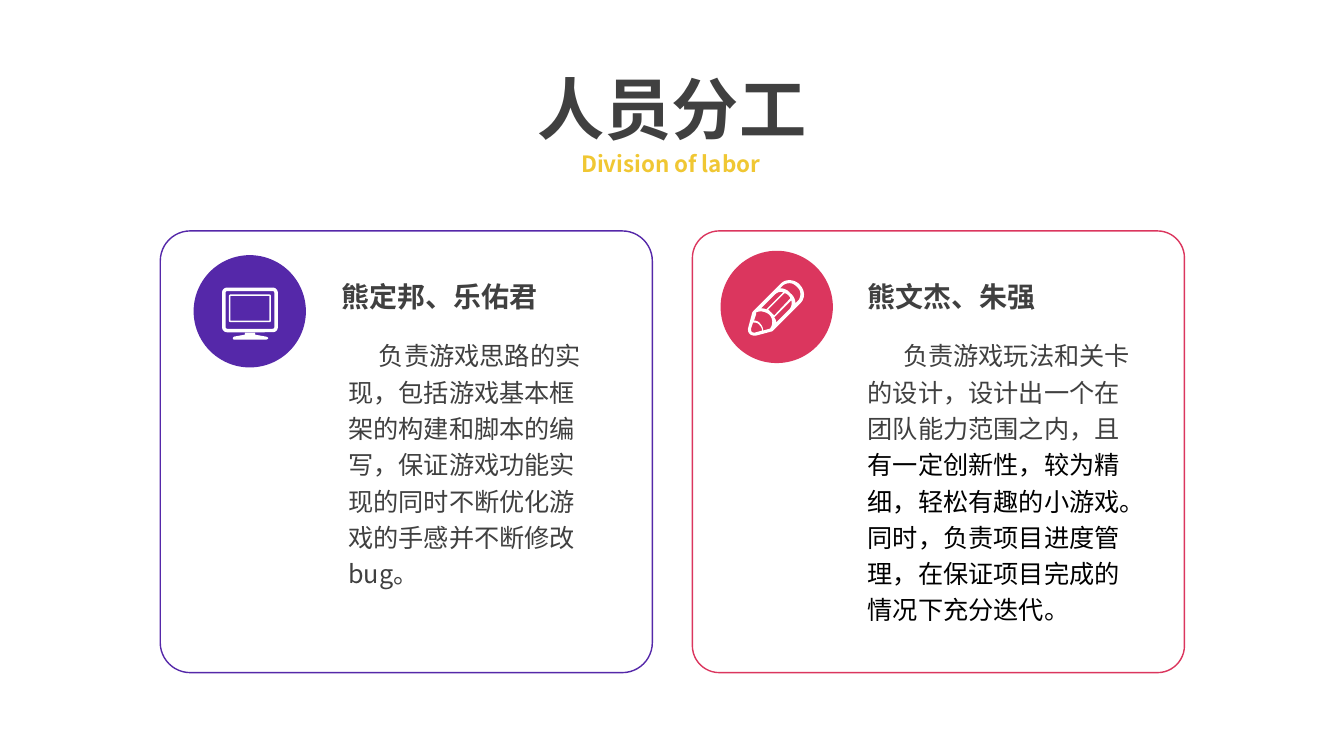
from lxml import etree
from pptx import Presentation
from pptx.dml.color import RGBColor
from pptx.enum.shapes import MSO_SHAPE as Preset
from pptx.enum.text import PP_ALIGN as Align
from pptx.oxml.ns import qn
from pptx.util import Cm, Pt

WHITE = RGBColor(0xFF, 0xFF, 0xFF)
BLACK = RGBColor(0x00, 0x00, 0x00)
GREY = RGBColor(0x40, 0x40, 0x40)
PURPLE = RGBColor(0x55, 0x28, 0xA9)
PINK = RGBColor(0xDB, 0x36, 0x5E)
YELLOW = RGBColor(0xF0, 0xC7, 0x33)

SANS = "Noto Sans CJK SC"
HEADING = "Noto Sans CJK JP"

ICON_UNIT = Cm(0.0254)
CURVE_STEPS = 6

# Contours of the icons: pairs are corners, sixes are Bezier curves.
STAND = [[(23, 45), (23, 47), (12, 49), (11, 50), (11, 51), (12, 52),
          (44, 52), (46, 51), (46, 50), (44, 49), (33, 47), (33, 45)]]
PENCIL = [
    # body
    [(51, 4), (48, 1, 44, 0, 41, 0), (38, 0, 35, 1, 33, 3), (6, 30),
     (5, 31, 4, 32, 4, 33), (0, 48), (0, 49), (0, 53, 3, 55, 6, 55), (8, 55),
     (23, 51), (24, 51, 25, 50, 26, 49), (52, 23), (57, 18, 57, 10, 51, 4)],
    # eraser
    [(50, 20), (47, 23), (47, 22), (47, 19, 45, 15, 42, 13),
     (40, 10, 36, 8, 32, 8), (35, 5), (36, 4, 39, 3, 41, 3),
     (44, 3, 46, 4, 49, 7), (51, 9, 52, 11, 52, 14), (52, 16, 51, 19, 50, 20)],
    # sharpened wood
    [(15, 50), (15, 47, 14, 45, 12, 43), (11, 41, 8, 40, 6, 40), (8, 34),
     (8, 32), (12, 30, 17, 31, 21, 34), (25, 38, 25, 44, 22, 48)],
    # lead
    [(7, 52), (6, 52), (4, 52, 3, 51, 3, 49), (3, 48), (5, 42),
     (7, 42, 9, 42, 11, 44), (13, 46, 14, 48, 14, 50)],
    # three facets
    [(18, 29), (16, 28, 15, 28, 13, 28), (27, 14), (29, 12, 32, 11, 35, 12)],
    [(26, 35), (25, 34, 24, 33, 23, 32), (22, 31, 21, 30, 20, 29), (36, 13),
     (38, 13, 39, 14, 40, 15), (41, 16, 42, 17, 42, 18)],
    [(28, 41), (28, 40, 27, 38, 26, 37), (43, 20), (44, 23, 43, 27, 41, 29),
     (28, 42)],
]


def paint(shape, fill=None, line=None, weight=1, alpha=None):
    """Set fill (alpha in percent) and line; None means no fill or line."""
    shape.shadow.inherit = False
    if fill is None:
        shape.fill.background()
    else:
        shape.fill.solid()
        shape.fill.fore_color.rgb = fill
    if alpha is not None:
        color = shape.fill._xPr.find(".//" + qn("a:srgbClr"))
        etree.SubElement(color, qn("a:alpha"), val=str(alpha * 1000))
    if line is None:
        shape.line.fill.background()
    else:
        shape.line.color.rgb = line
        shape.line.width = Pt(weight)


def add_preset(page, preset, left, top, width, height, radius=None, **look):
    shape = page.shapes.add_shape(preset, Cm(left), Cm(top), Cm(width), Cm(height))
    if radius is not None:
        shape.adjustments[0] = radius
    paint(shape, **look)


def flatten(contour):
    """Turn corners and Bezier curves into a list of points."""
    points = [contour[0]]
    for step in contour[1:]:
        if len(step) == 2:
            points.append(step)
            continue
        nodes = [points[-1], step[:2], step[2:4], step[4:]]
        for index in range(1, CURVE_STEPS + 1):
            t = index / CURVE_STEPS
            weights = ((1 - t) ** 3, 3 * t * (1 - t) ** 2, 3 * t * t * (1 - t), t ** 3)
            points.append(tuple(sum(w * node[axis] for w, node in zip(weights, nodes))
                                for axis in (0, 1)))
    return points


def add_outline(page, left, top, contours, color):
    """Draw all contours as one shape; inner contours become holes."""
    builder = None
    for contour in contours:
        points = [(Cm(left) + x * ICON_UNIT, Cm(top) + y * ICON_UNIT)
                  for x, y in flatten(contour)]
        if builder is None:
            builder = page.shapes.build_freeform(*points[0], scale=1.0)
        else:
            builder.move_to(*points[0])
        builder.add_line_segments(points[1:], close=True)
    paint(builder.convert_to_shape(), fill=color)


def add_span(para, text, size=18, font=SANS, east_asian=SANS, color=GREY, bold=False):
    span = para.add_run()
    span.text = text
    span.font.size = Pt(size)
    span.font.bold = bold
    span.font.color.rgb = color
    span.font.name = font
    etree.SubElement(span.font._element, qn("a:ea"), typeface=east_asian)


def add_text(page, text, left, top, width, height, align=Align.LEFT, spacing=1.0,
             indent=0, **style):
    box = page.shapes.add_textbox(Cm(left), Cm(top), Cm(width), Cm(height))
    box.text_frame.word_wrap = True
    para = box.text_frame.paragraphs[0]
    para.alignment = align
    para.line_spacing = spacing
    if indent:
        para._p.get_or_add_pPr().set("indent", str(Cm(indent)))
    add_span(para, text, **style)
    return para


def add_card(page, left, radius, color, circle_left, circle_top):
    add_preset(page, Preset.ROUNDED_RECTANGLE, left, 5.82, 12.4, 11.13,
               radius=radius, fill=WHITE, alpha=70, line=color)
    add_preset(page, Preset.OVAL, circle_left, circle_top, 2.83, 2.83, fill=color)


def add_monitor(page):
    for left, top, width, height, radius, weight in (
            (5.64, 7.29, 1.32, 1.04, 0.08, 2.5), (5.79, 7.44, 1.02, 0.66, 0.03, 1.1)):
        add_preset(page, Preset.ROUNDED_RECTANGLE, left, top, width, height,
                   radius=radius, line=WHITE, weight=weight)
    add_outline(page, 5.59, 7.24, STAND, WHITE)


def main():
    deck = Presentation()
    deck.slide_width, deck.slide_height = Cm(33.87), Cm(19.05)
    page = deck.slides.add_slide(deck.slide_layouts[6])

    add_card(page, 4.04, 0.068, PURPLE, 4.88, 6.43)
    add_monitor(page)
    add_text(page, "熊定邦、乐佑君", 8.36, 6.91, 5.82, 1.12, size=20, bold=True)
    add_text(page, "负责游戏思路的实现，包括游戏基本框架的构建和脚本的编写，"
             "保证游戏功能实现的同时不断优化游戏的手感并不断修改bug。",
             8.53, 8.31, 6.43, 7.65, spacing=1.2, indent=0.77)

    add_card(page, 17.45, 0.061, PINK, 18.16, 6.32)
    add_outline(page, 18.85, 7.06, PENCIL, WHITE)
    add_text(page, "熊文杰、朱强", 21.62, 6.91, 5.31, 1.12, size=20, bold=True)
    para = add_text(page, "负责游戏玩法和关卡的设计，设计出一个在团队能力范围之内，且",
                    21.62, 8.31, 7.34, 9.27, spacing=1.2, indent=0.89)
    add_span(para, "有一定创新性，较为精细，轻松有趣的小游戏。"
             "同时，负责项目进度管理，在保证项目完成的情况下充分迭代。",
             font="Arial", color=BLACK)

    heading = dict(align=Align.CENTER, font=HEADING, east_asian=HEADING, bold=True)
    add_text(page, "人员分工", 12.45, 1.37, 8.97, 2.51, size=48, spacing=1.1, **heading)
    add_text(page, "Division of labor", 13.54, 3.66, 6.73, 0.94, size=16,
             color=YELLOW, **heading)
    deck.save("out.pptx")


if __name__ == "__main__":
    main()
